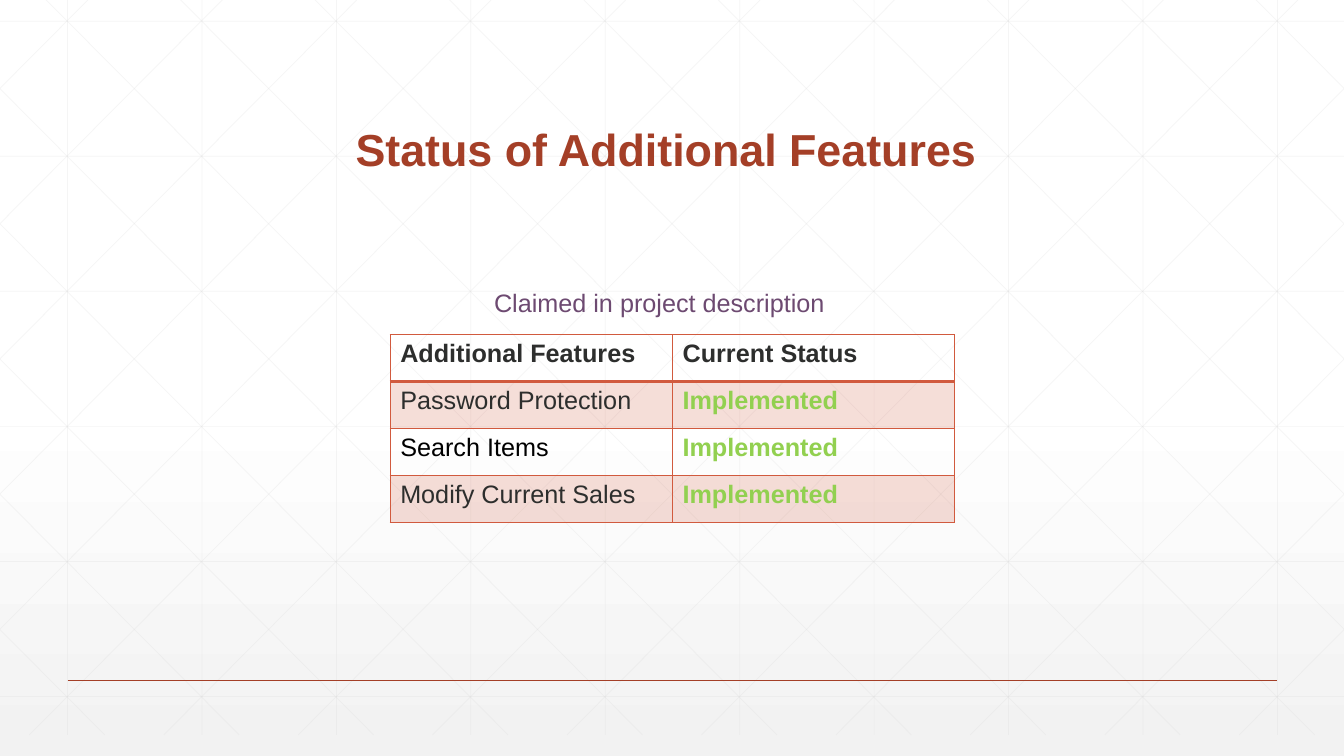
import pptx
import pptx.util
import pptx.dml.color
import pptx.enum.shapes
import pptx.enum.text
import pptx.oxml
import pptx.oxml.ns
from pptx.util import Inches

W, H = 13.33, 7.5
STEP_X, STEP_Y = 4 / 3, 1.34
GRID_TOP, GRID_BOTTOM = -0.21, 7.29
SLOPE = 0.994  # horizontal run per inch of height on the diagonals
NS = 'xmlns:a="http://schemas.openxmlformats.org/drawingml/2006/main"'
RUST, ORANGE, DARK, GREEN = "A43F27", "D15A3E", "2D2E2D", "92D050"


def add_line(shapes, ends, color, width, alpha=100):
    """Draw a straight line between two points, with opacity in percent."""
    line = shapes.add_connector(pptx.enum.shapes.MSO_CONNECTOR.STRAIGHT,
                                *[Inches(v) for v in ends])
    line.line.color.rgb = pptx.dml.color.RGBColor.from_string(color)
    line.line.width = pptx.util.Pt(width)
    sp_pr = line._element.spPr
    sp_pr.append(pptx.oxml.parse_xml(f"<a:effectLst {NS}/>"))
    clr = sp_pr.find(".//" + pptx.oxml.ns.qn("a:srgbClr"))
    clr.append(pptx.oxml.parse_xml(f'<a:alpha {NS} val="{alpha * 1000}"/>'))


def add_run(p, text, size, color, bold=False):
    """Add one formatted Arial run to a paragraph."""
    r = p.add_run()
    r.text = text
    r.font.name = "Arial"
    r.font.size = pptx.util.Pt(size)
    r.font.bold = bold
    r.font.color.rgb = pptx.dml.color.RGBColor.from_string(color)


prs = pptx.Presentation()
prs.slide_width, prs.slide_height = Inches(W), Inches(H)
s = prs.slides.add_slide(prs.slide_layouts[5])

# Background gradient
fill = s.background.fill
fill.gradient()
fill.gradient_angle = 270
for stop, color, position in zip(fill.gradient_stops, ("FFFFFF", "F2F2F2"), (0.53, 1)):
    stop.color.rgb = pptx.dml.color.RGBColor.from_string(color)
    stop.position = position

# Background lattice, clipped to the slide
lattice = []
for i in range(10):
    x = 0.67 + i * STEP_X
    lattice.append((x, 0, x, GRID_BOTTOM))
for i in range(6):
    y = 0.21 + i * STEP_Y
    lattice.append((0, y, W, y))
for i in range(-5, 10):
    x_top = 0.25 + i * STEP_X
    y1 = max(0, GRID_TOP - x_top / SLOPE)
    y2 = min(GRID_BOTTOM, GRID_TOP + (W - x_top) / SLOPE)
    x1, x2 = [x_top + (y - GRID_TOP) * SLOPE for y in (y1, y2)]
    lattice += [(x1, y1, x2, y2), (W - x1, y1, W - x2, y2)]
grid = s.shapes.add_group_shape()
for ends in lattice:
    add_line(grid.shapes, ends, "D9D9D9", 0.5, 25)
add_line(s.shapes, (0.67, 6.75, 12.67, 6.75), RUST, 1)

# Title, brought in front of the lattice
title = s.shapes.title
s.shapes._spTree.append(title._element)
title.left, title.top, title.width, title.height = [
    Inches(v) for v in (1.42, 0.55, 10.5, 1.25)]
tf = title.text_frame
tf.vertical_anchor = pptx.enum.text.MSO_ANCHOR.BOTTOM
p = tf.paragraphs[0]
p.alignment = pptx.enum.text.PP_ALIGN.CENTER
p.line_spacing = 0.9
add_run(p, "Status of Additional Features ", 32, RUST, True)

# Feature table
rows = [("Additional Features", "Current Status"),
        ("Password Protection", "Implemented"),
        ("Search Items", "Implemented"),
        ("Modify Current Sales", "Implemented")]
frame = s.shapes.add_table(len(rows), 2, Inches(3.87), Inches(3.32),
                           Inches(5.6), Inches(1.86))
table = frame.table
table.first_row = table.horz_banding = False
for i, texts in enumerate(rows):
    for j, text in enumerate(texts):
        cell = table.cell(i, j)
        tc_pr = cell._tc.get_or_add_tcPr()
        for side in ("L", "R", "T", "B"):
            heavy = (i, side) in ((0, "B"), (1, "T"))
            tc_pr.append(pptx.oxml.parse_xml(
                f'<a:ln{side} {NS} w="{25400 if heavy else 12700}"><a:solidFill>'
                f'<a:srgbClr val="{ORANGE}"/></a:solidFill></a:ln{side}>'))
        if i % 2:
            cell.fill.solid()
            cell.fill.fore_color.rgb = pptx.dml.color.RGBColor.from_string(ORANGE)
            clr = tc_pr.find(pptx.oxml.ns.qn("a:solidFill"))[0]
            clr.append(pptx.oxml.parse_xml(f'<a:alpha {NS} val="20000"/>'))
        else:
            cell.fill.background()
        color = GREEN if i and j else "000000" if i == 2 else DARK
        add_run(cell.text_frame.paragraphs[0], text, 18, color, i == 0 or j == 1)

# Table caption
caption = s.shapes.add_textbox(Inches(4.32), Inches(2.8), Inches(4.53), Inches(0.4))
tf = caption.text_frame
tf.word_wrap = True
tf.margin_left = Inches(0.58)
add_run(tf.paragraphs[0], "Claimed in project description", 18, "6D4A71")

prs.save("out.pptx")
